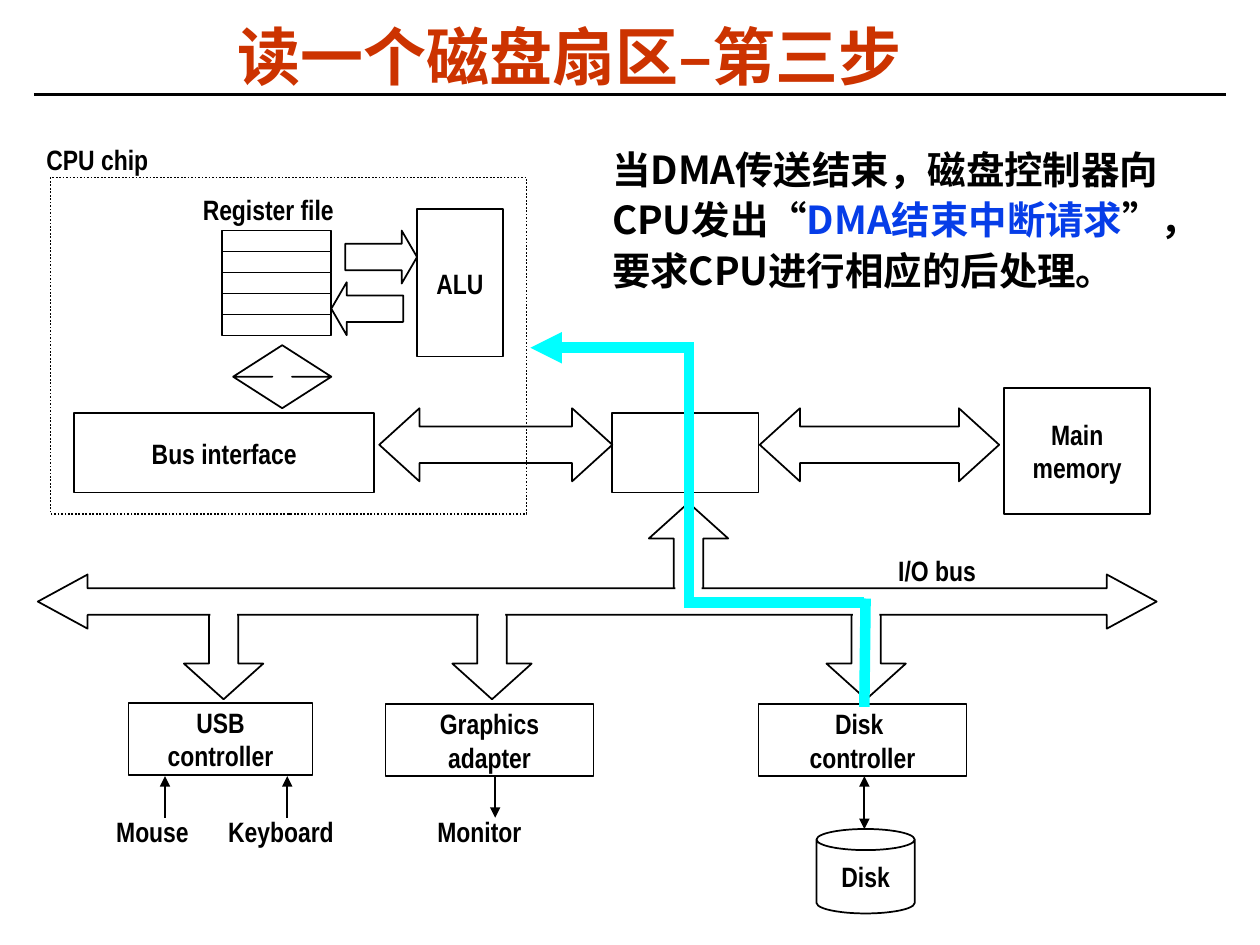
from lxml import etree
from pptx import Presentation, util as u
from pptx.dml.color import RGBColor
from pptx.enum import dml, shapes, text
from pptx.oxml.ns import qn

HUE = {"ink": "000000", "title": "CC3300", "blue": "063DE8",
       "path": "00FFFF", "paper": "FFFFFF"}
CJK, LATIN = "Noto Sans CJK SC", "Arial Narrow"
KIND = shapes.MSO_SHAPE
MID, LEFT = text.PP_ALIGN.CENTER, text.PP_ALIGN.LEFT
STEM = (0.37, 0.45)  # shape of the arrows that join the I/O bus

deck = Presentation()
deck.slide_width, deck.slide_height = u.Inches(10), u.Inches(7.5)
slide = deck.slides.add_slide(deck.slide_layouts[5])


def rgb(name):
    return RGBColor.from_string(HUE[name])


def place(box, x, y, w, h):
    """Turn offsets inside a region into slide lengths."""
    return [u.Inches(v) for v in (box[0] + x, box[1] + y, w, h)]


def style(run, face, size, hue="ink"):
    look = {"name": face, "size": u.Pt(size), "bold": True}
    for key, val in look.items():
        setattr(run.font, key, val)
    run.font.color.rgb = rgb(hue)
    if face == CJK:
        etree.SubElement(run._r.get_or_add_rPr(), qn("a:ea"), typeface=face)


def write(shape, words, align=MID):
    frame = shape.text_frame
    form = {"word_wrap": False, "vertical_anchor": text.MSO_ANCHOR.MIDDLE}
    for key, val in form.items():
        setattr(frame, key, val)
    for i, line in enumerate(words.split("\n")):
        para = frame.paragraphs[0] if i == 0 else frame.add_paragraph()
        para.alignment = align
        run = para.add_run()
        run.text = line
        style(run, LATIN, 16)


def block(box, kind, x, y, w, h, words="", adj=(), fill=None, edge=True):
    shape = slide.shapes.add_shape(kind, *place(box, x, y, w, h))
    shape.shadow.inherit = False
    for i, val in enumerate(adj):
        shape.adjustments[i] = val
    if fill:
        shape.fill.solid()
        shape.fill.fore_color.rgb = rgb(fill)
    else:
        shape.fill.background()
    if edge:
        shape.line.color.rgb = rgb("ink")
        shape.line.width = u.Pt(1)
    else:
        shape.line.fill.background()
    if words:
        write(shape, words)
    return shape


def label(box, x, y, w, words, align=MID):
    write(slide.shapes.add_textbox(*place(box, x, y, w, 0.37)), words, align)


def line(box, x1, y1, x2, y2, hue="ink", width=1, ends=()):
    pts = place(box, x1, y1, 0, 0)[:2] + place(box, x2, y2, 0, 0)[:2]
    link = slide.shapes.add_connector(shapes.MSO_CONNECTOR.STRAIGHT, *pts)
    link.line.color.rgb = rgb(hue)
    link.line.width = u.Pt(width)
    for end in ends:
        etree.SubElement(link.line._ln, qn(f"a:{end}End"), type="triangle")
    etree.SubElement(link._element.spPr, qn("a:effectLst"))


def head(box):
    title = slide.shapes.title
    title.left, title.top, title.width, title.height = place(box, 0.1, 0.17, 8.3, 0.62)
    title.text_frame.vertical_anchor = text.MSO_ANCHOR.MIDDLE
    para = title.text_frame.paragraphs[0]
    para.alignment, para.line_spacing = MID, 0.87
    run = para.add_run()
    run.text = "读一个磁盘扇区–第三步"
    style(run, CJK, 36, "title")
    line(box, 0, 0.75, 9.46, 0.75, width=1.5)


def chip(box):
    frame = block(box, KIND.RECTANGLE, 0, 0, 3.78, 2.67)
    frame.line.dash_style = dml.MSO_LINE.ROUND_DOT
    label(box, -0.13, -0.33, 1.01, "CPU chip", LEFT)
    # Register file and ALU
    label(box, 1.11, 0.07, 1.24, "Register file")
    for row in range(5):
        block(box, KIND.RECTANGLE, 1.36, 0.42 + row / 6, 0.87, 1 / 6)
    for kind, x, y in ((KIND.RIGHT_ARROW, 2.34, 0.42), (KIND.LEFT_ARROW, 2.23, 0.83)):
        block(box, kind, x, y, 0.57, 0.42, adj=(0.5, 0.29))
    block(box, KIND.RECTANGLE, 2.91, 0.25, 0.68, 1.17, "ALU")
    # Bus interface
    block(box, KIND.UP_DOWN_ARROW, 1.45, 1.33, 0.78, 0.5, adj=(0.5, 0.2))
    block(box, KIND.RECTANGLE, 0.19, 1.87, 2.38, 0.63, "Bus interface")


def memory(box):
    for x, w in ((0, 1.85), (3.02, 1.9)):
        block(box, KIND.LEFT_RIGHT_ARROW, x, 0.16, w, 0.58, adj=(0.5, 0.55))
    block(box, KIND.RECTANGLE, 1.85, 0.2, 1.16, 0.63)
    block(box, KIND.RECTANGLE, 4.96, 0, 1.16, 1, "Main\nmemory")


def bus(box):
    # Stems first, then the bus, then patches that open the joints
    downs = (1.16, 3.29, 6.26)
    block(box, KIND.UP_ARROW, 4.85, -0.57, 0.63, 0.75, adj=STEM)
    for x in downs:
        block(box, KIND.DOWN_ARROW, x, 0.24, 0.63, 0.75, adj=STEM)
    block(box, KIND.LEFT_RIGHT_ARROW, 0, 0, 8.88, 0.43,
          adj=(0.49, 0.92), fill="paper")
    for x, y in [(4.85, 0.1)] + [(x, 0.18) for x in downs]:
        block(box, KIND.RECTANGLE, x + 0.21, y, 0.21, 0.17, fill="paper", edge=False)
    label(box, 6.73, -0.22, 0.82, "I/O bus", LEFT)


def devices(box):
    for x, y, w, words in ((0, 0, 1.46, "USB\ncontroller"),
                           (2.04, 0.01, 1.65, "Graphics\nadapter"),
                           (5, 0.01, 1.65, "Disk \ncontroller")):
        block(box, KIND.RECTANGLE, x, y, w, 0.57, words)
    for x, end, left, w, words in ((0.29, "head", -0.2, 0.78, "Mouse"),
                                   (1.26, "head", 0.69, 1.04, "Keyboard"),
                                   (2.91, "tail", 2.35, 0.87, "Monitor")):
        line(box, x, 0.58, x, 0.91, ends=[end])
        label(box, left, 0.83, w, words)
    line(box, 5.84, 0.58, 5.84, 1, ends=("head", "tail"))
    block(box, KIND.CAN, 5.46, 1, 0.78, 0.67, "Disk", adj=[0.25])


def signal(box):
    # Interrupt path from the disk controller to the CPU
    for pts, ends in (((1.3, 0, 0, 0), ["tail"]),
                      ((1.26, -0.02, 1.26, 1.99), ()),
                      ((1.22, 2.02, 2.65, 2.02), ()),
                      ((2.66, 1.99, 2.65, 2.85), ())):
        line(box, *pts, hue="path", width=6, ends=ends)


def note(box):
    frame = slide.shapes.add_textbox(*place(box, 0, 0, 4.91, 1.31)).text_frame
    frame.word_wrap = True
    para = frame.paragraphs[0]
    para.line_spacing = 1.1
    for words, hue in (("当DMA传送结束，磁盘控制器向CPU发出“", "ink"),
                       ("DMA结束中断请求", "blue"),
                       ("”，要求CPU进行相应的后处理。", "ink")):
        run = para.add_run()
        run.text = words
        style(run, CJK, 22, hue)


# Each region is given its left and top
head((0.27, 0))
chip((0.4, 1.41))
memory((3.01, 3.08))
bus((0.3, 4.56))
devices((1.02, 5.58))
signal((4.21, 2.76))
note((4.76, 1.07))
deck.save("out.pptx")
